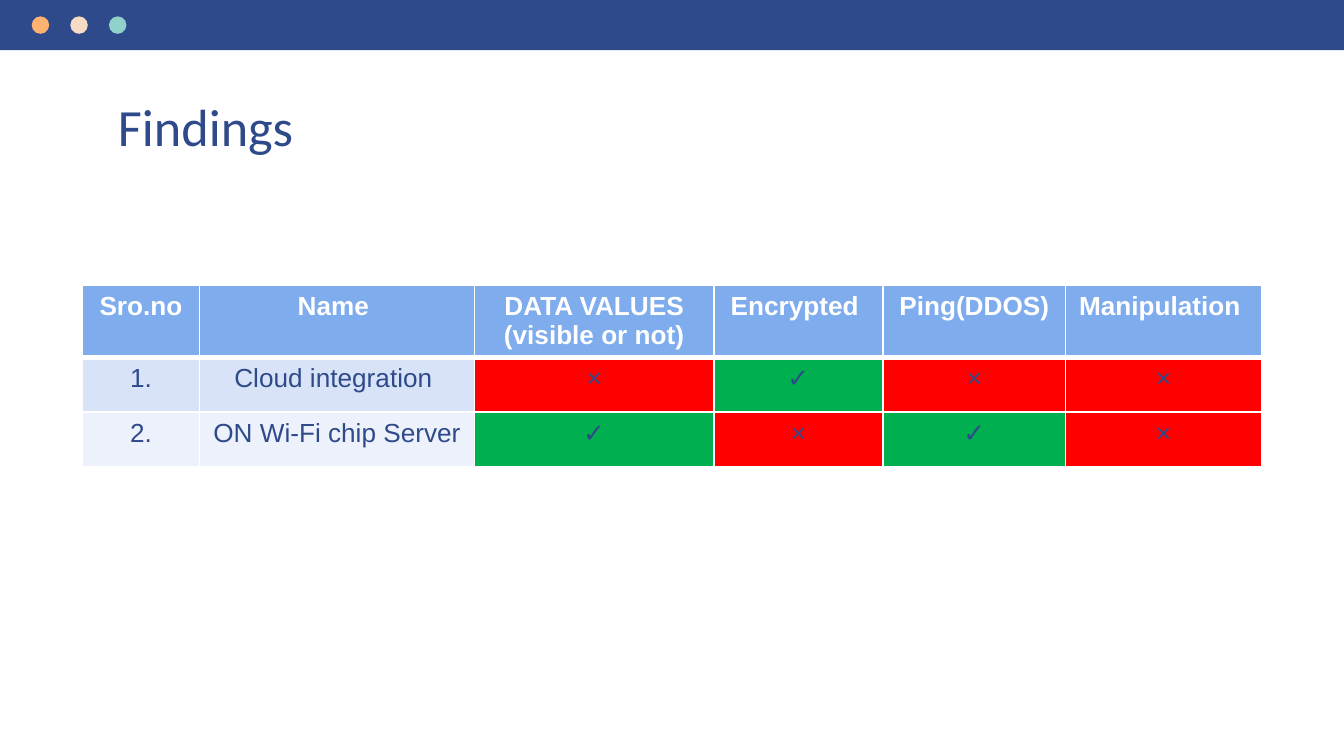
"""Build the findings slide with its table of security checks."""
import pptx
import pptx.util
import pptx.dml.color
import pptx.enum.shapes
import pptx.enum.text
import lxml.etree
import pptx.oxml.ns

Cm = pptx.util.Cm
Pt = pptx.util.Pt
RGB = pptx.dml.color.RGBColor
KIND = pptx.enum.shapes.MSO_SHAPE
ALIGN = pptx.enum.text.PP_ALIGN
qn = pptx.oxml.ns.qn

NAVY = RGB(0x2F, 0x4A, 0x8A)
ORANGE = RGB(0xFF, 0xB1, 0x72)
CREAM = RGB(0xF8, 0xDB, 0xC4)
TEAL = RGB(0x90, 0xD1, 0xCB)
WHITE = RGB(0xFF, 0xFF, 0xFF)
BLUE = RGB(0x7E, 0xAC, 0xEC)
PALE = RGB(0xD8, 0xE3, 0xF8)
LIGHT = RGB(0xEC, 0xF1, 0xFB)
RED = RGB(0xFF, 0x00, 0x00)
GREEN = RGB(0x00, 0xB0, 0x50)

MARKS = {"×": RED, "✓": GREEN}
BANDS = [BLUE, PALE, LIGHT]
WIDTHS = [2.21, 5.2, 4.52, 3.2, 3.45, 3.7]
HEIGHTS = [1.34, 1.03, 1.03]
ROWS = [
    ["Sro.no", "Name ", "DATA VALUES (visible or not)", "Encrypted ", "Ping(DDOS)", "Manipulation "],
    ["1.", "Cloud integration ", "×", "✓", "×", "×"],
    ["2.", "ON Wi-Fi chip Server", "✓", "×", "✓", "×"],
]


def add_run(para, text, font, size, color, bold=False):
    """Add one styled run to a paragraph."""
    run = para.add_run()
    run.text = text
    run.font.name = font
    run.font.size = Pt(size)
    run.font.bold = bold
    run.font.color.rgb = color


def add_shape(slide, kind, left, top, width, height, color):
    """Add a plain filled shape without a line."""
    shape = slide.shapes.add_shape(kind, Cm(left), Cm(top), Cm(width), Cm(height))
    shape.shadow.inherit = False
    shape.fill.solid()
    shape.fill.fore_color.rgb = color
    shape.line.fill.background()


def add_bar(slide):
    """Add the top bar with its three dots."""
    add_shape(slide, KIND.RECTANGLE, 0, 0, 25.4, 0.95, NAVY)
    for num, color in enumerate([ORANGE, CREAM, TEAL]):
        add_shape(slide, KIND.OVAL, 0.6 + 0.73 * num, 0.31, 0.33, 0.33, color)


def set_title(slide, text):
    """Place and fill the title."""
    title = slide.shapes.title
    title.left, title.top = Cm(1.98), Cm(1.53)
    title.width, title.height = Cm(21.44), Cm(1.3)
    frame = title.text_frame
    frame.auto_size = pptx.enum.text.MSO_AUTO_SIZE.NONE
    frame.vertical_anchor = pptx.enum.text.MSO_ANCHOR.TOP
    frame.margin_left = frame.margin_right = Cm(0.25)
    frame.margin_top = frame.margin_bottom = Cm(0.25)
    para = frame.paragraphs[0]
    para.alignment = ALIGN.LEFT
    add_run(para, text, "Calibri", 28, NAVY)


def set_edges(cell, base):
    """Draw white borders around a cell, with a given base width."""
    props = cell._tc.get_or_add_tcPr()
    for side, width in [("L", 1), ("R", 1), ("T", 1), ("B", base)]:
        line = lxml.etree.SubElement(props, qn(f"a:ln{side}"), w=str(Pt(width)))
        fill = lxml.etree.SubElement(line, qn("a:solidFill"))
        lxml.etree.SubElement(fill, qn("a:srgbClr"), val=str(WHITE))


def fill_cell(cell, text, band, head):
    """Write, fill and border one cell."""
    set_edges(cell, 3 if head else 1)
    cell.fill.solid()
    cell.fill.fore_color.rgb = MARKS.get(text, band)
    para = cell.text_frame.paragraphs[0]
    para.alignment = ALIGN.CENTER
    add_run(para, text, "Arial", 14, WHITE if head else NAVY, head)


def add_grid(slide):
    """Add the table of findings."""
    frame = slide.shapes.add_table(
        len(ROWS), len(WIDTHS), Cm(1.56), Cm(5.39), Cm(sum(WIDTHS)), Cm(sum(HEIGHTS)))
    table = frame.table
    for col, width in zip(table.columns, WIDTHS):
        col.width = Cm(width)
    for num, texts in enumerate(ROWS):
        table.rows[num].height = Cm(HEIGHTS[num])
        for cell, text in zip(table.rows[num].cells, texts):
            fill_cell(cell, text, BANDS[num], num == 0)


def main():
    """Build and save the slide."""
    deck = pptx.Presentation()
    deck.slide_width, deck.slide_height = Cm(25.4), Cm(14.29)
    slide = deck.slides.add_slide(deck.slide_layouts[5])
    add_bar(slide)
    set_title(slide, "Findings")
    add_grid(slide)
    deck.save("out.pptx")


if __name__ == "__main__":
    main()
